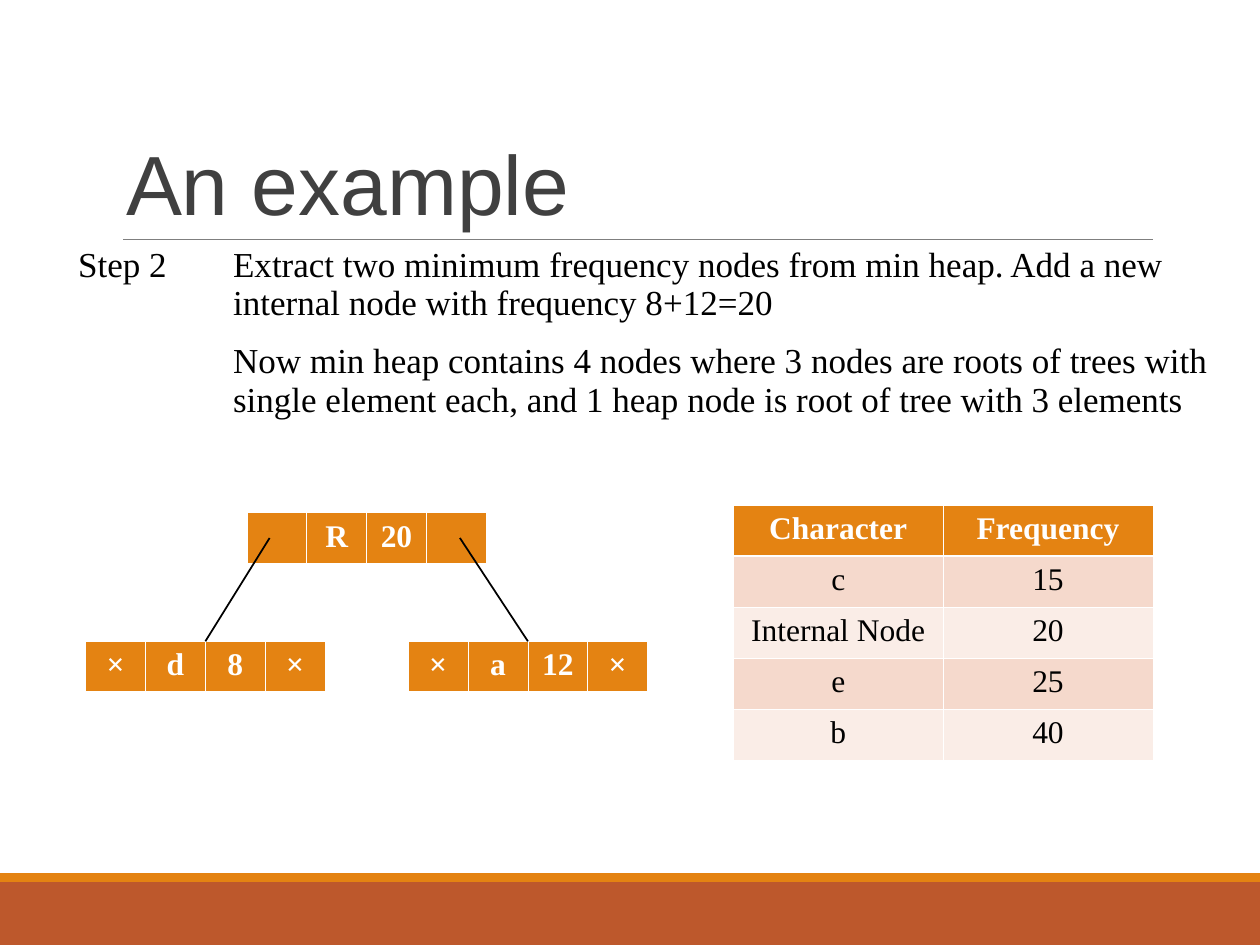
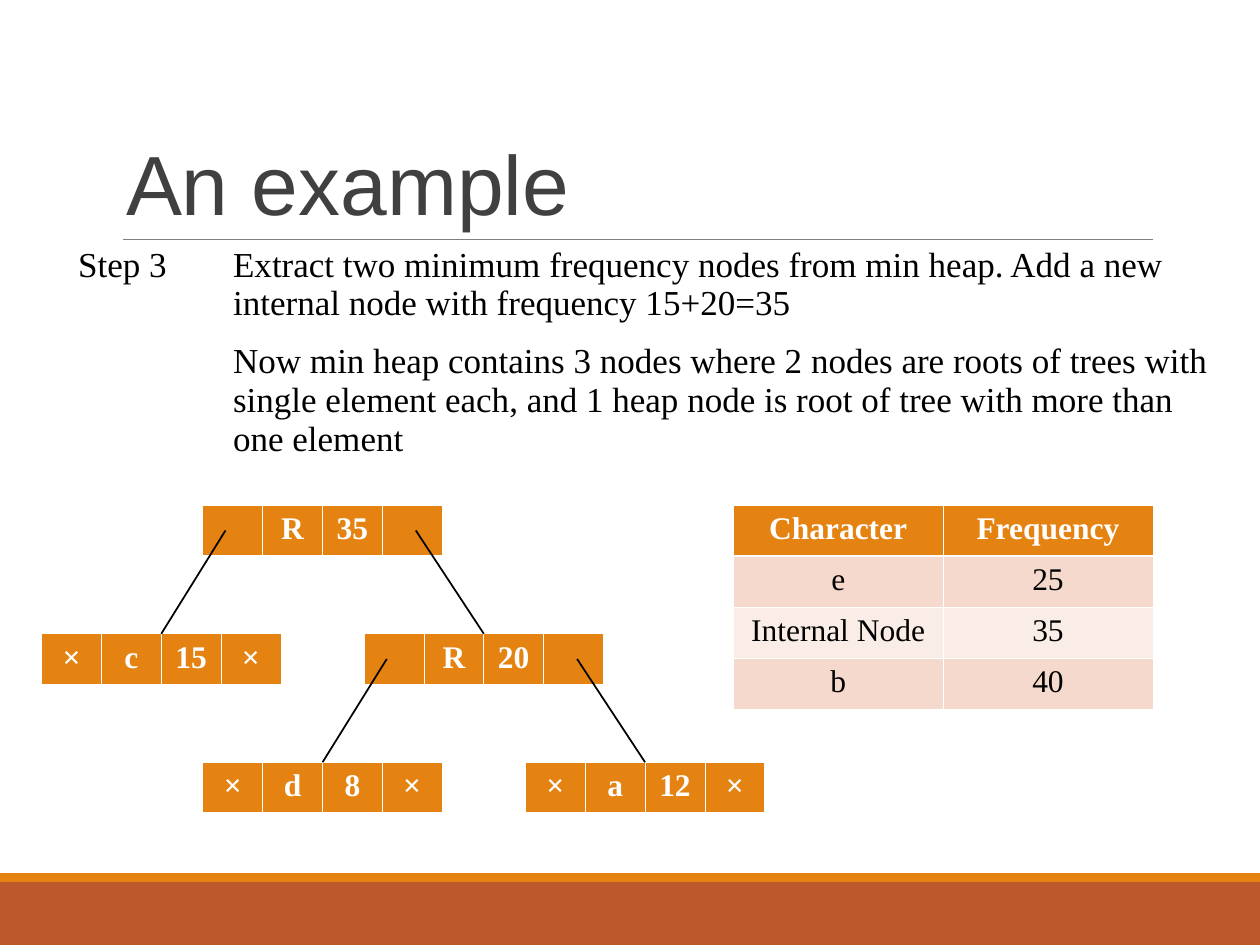
from lxml import etree
from pptx import Presentation
from pptx.dml.color import RGBColor
from pptx.enum.shapes import MSO_CONNECTOR, MSO_SHAPE
from pptx.enum.text import MSO_ANCHOR, MSO_AUTO_SIZE, PP_ALIGN
from pptx.oxml.ns import qn
from pptx.util import Inches, Pt

STRAIGHT = MSO_CONNECTOR.STRAIGHT
RECTANGLE = MSO_SHAPE.RECTANGLE
BOTTOM = MSO_ANCHOR.BOTTOM
NO_AUTOFIT = MSO_AUTO_SIZE.NONE
LEFT, CENTER = PP_ALIGN.LEFT, PP_ALIGN.CENTER

ORANGE = RGBColor(0xE4, 0x83, 0x12)
RUST = RGBColor(0xBD, 0x58, 0x2C)
DARK_ROW = RGBColor(0xF5, 0xD9, 0xCC)
LIGHT_ROW = RGBColor(0xFA, 0xED, 0xE7)
GRAY = RGBColor(0x7F, 0x7F, 0x7F)
TITLE_GRAY = RGBColor(0x40, 0x40, 0x40)
WHITE = RGBColor(0xFF, 0xFF, 0xFF)
BLACK = RGBColor(0, 0, 0)

TITLE_FONT, BODY_FONT = "Arial", "Times New Roman"
PLAIN_TABLE_STYLE = "{2D5ABB26-0587-4C30-8999-92F81FD0307C}"
THIN, THICK = Pt(0.45), Pt(1.47)

TITLE = "An example"
TABLE_HEADER = ("Character", "Frequency")

# A tree node is (character, frequency, children).
LEAF_A, LEAF_C, LEAF_D = ("a", 12, ()), ("c", 15, ()), ("d", 8, ())
TREE_20 = ("R", 20, (LEAF_D, LEAF_A))
TREE_35 = ("R", 35, (LEAF_C, TREE_20))

STEPS = [
    {
        "step": "Step 2",
        "texts": (
            "Extract two minimum frequency nodes from min heap. Add a new "
            "internal node with frequency 8+12=20",
            "Now min heap contains 4 nodes where 3 nodes are roots of trees with "
            "single element each, and 1 heap node is root of tree with 3 elements",
        ),
        "text_heights": (0.77, 0.77),
        "tree": TREE_20,
        "root": (1.96, 4.07),
        "heap": [("c", 15), ("Internal Node", 20), ("e", 25), ("b", 40)],
    },
    {
        "step": "Step 3",
        "texts": (
            "Extract two minimum frequency nodes from min heap. Add a new "
            "internal node with frequency 15+20=35",
            "Now min heap contains 3 nodes where 2 nodes are roots of trees with "
            "single element each, and 1 heap node is root of tree with more than "
            "one element",
        ),
        "text_heights": (0.77, 1.1),
        "tree": TREE_35,
        "root": (1.61, 4.01),
        "heap": [("e", 25), ("Internal Node", 35), ("b", 40)],
    },
]

NODE_WIDTH, ROW_HEIGHT = 1.9, 0.405
CHILD_SHIFT, LEVEL_HEIGHT = 1.28, 1.02
LINK_STARTS = (0.18, 1.69)  # within the parent's first and last cells
LINK_DROP = 0.2


def add_line(slide, start, end, color, width):
    line = slide.shapes.add_connector(
        STRAIGHT, *(Inches(value) for value in (*start, *end)))
    line.line.color.rgb = color
    line.line.width = Pt(width)
    etree.SubElement(line._element.spPr, qn("a:effectLst"))


def add_band(slide, top, height, color):
    band = slide.shapes.add_shape(
        RECTANGLE, 0, Inches(top), Inches(10), Inches(height))
    band.shadow.inherit = False
    band.fill.solid()
    band.fill.fore_color.rgb = color
    band.line.fill.background()


def add_frame(slide):
    """Add the parts every slide shares: bands, rule and title."""
    add_band(slide, 7, 0.5, RUST)
    add_band(slide, 6.93, 0.07, ORANGE)
    add_line(slide, (0.98, 1.9), (9.15, 1.9), GRAY, 0.5)
    title = slide.shapes.title
    title.left, title.top = Inches(0.9), Inches(0.31)
    title.width, title.height = Inches(8.25), Inches(1.59)
    frame = title.text_frame
    frame.text = TITLE
    frame.auto_size = NO_AUTOFIT
    frame.vertical_anchor = BOTTOM
    paragraph = frame.paragraphs[0]
    paragraph.alignment = LEFT
    paragraph.line_spacing = 0.85
    style_font(paragraph.font, TITLE_FONT, 48, TITLE_GRAY)


def style_font(font, name, size, color, bold=False):
    font.name, font.size, font.bold = name, Pt(size), bold
    font.color.rgb = color


def set_cell_text(cell, text, size, color, bold, alignment):
    cell.text = str(text)
    paragraph = cell.text_frame.paragraphs[0]
    paragraph.alignment = alignment
    style_font(paragraph.font, BODY_FONT, size, color, bold)


def add_plain_table(slide, position, column_widths, row_heights):
    left, top = position
    graphic_frame = slide.shapes.add_table(
        len(row_heights), len(column_widths), Inches(left), Inches(top),
        Inches(sum(column_widths)), Inches(sum(row_heights)))
    table = graphic_frame.table
    table.first_row = table.horz_banding = False
    table._tbl.tblPr.find(qn("a:tableStyleId")).text = PLAIN_TABLE_STYLE
    for column, width in zip(table.columns, column_widths):
        column.width = Inches(width)
    for row, height in zip(table.rows, row_heights):
        row.height = Inches(height)
    return table


def set_borders(cell, top, bottom):
    properties = cell._tc.get_or_add_tcPr()
    for side, width in (("L", THIN), ("R", THIN), ("T", top), ("B", bottom)):
        border = etree.SubElement(properties, qn(f"a:ln{side}"), w=str(int(width)))
        fill = etree.SubElement(border, qn("a:solidFill"))
        etree.SubElement(fill, qn("a:srgbClr"), val=str(WHITE))


def add_filled_table(slide, position, width, rows):
    """Add a table with an orange first row and banded rows below it."""
    columns = len(rows[0])
    table = add_plain_table(
        slide, position, [width / columns] * columns, [ROW_HEIGHT] * len(rows))
    for row_index, row in enumerate(rows):
        is_header = row_index == 0
        band = DARK_ROW if row_index % 2 else LIGHT_ROW
        for column_index, text in enumerate(row):
            cell = table.cell(row_index, column_index)
            set_borders(cell, top=THICK if row_index == 1 else THIN,
                        bottom=THICK if is_header else THIN)
            cell.fill.solid()
            cell.fill.fore_color.rgb = ORANGE if is_header else band
            set_cell_text(cell, text, 18, WHITE if is_header else BLACK,
                          is_header, CENTER)


def add_tree(slide, node, left, top):
    character, frequency, children = node
    pointer = "" if children else "×"
    add_filled_table(slide, (left, top), NODE_WIDTH,
                     [(pointer, character, frequency, pointer)])
    child_top = top + LEVEL_HEIGHT
    for child, direction, link_start in zip(children, (-1, 1), LINK_STARTS):
        child_left = left + direction * CHILD_SHIFT
        add_tree(slide, child, child_left, child_top)
        add_line(slide, (left + link_start, top + LINK_DROP),
                 (child_left + NODE_WIDTH / 2, child_top), BLACK, 1)


def add_step_text(slide, step, texts, heights):
    table = add_plain_table(slide, (0.52, 1.9), (1.23, 7.99), heights)
    set_cell_text(table.cell(0, 0), step, 20, BLACK, False, LEFT)
    for row_index, text in enumerate(texts):
        set_cell_text(table.cell(row_index, 1), text, 20, BLACK, False, LEFT)


def main():
    presentation = Presentation()
    presentation.slide_width, presentation.slide_height = Inches(10), Inches(7.5)
    title_only = presentation.slide_layouts.get_by_name("Title Only")
    for step in STEPS:
        slide = presentation.slides.add_slide(title_only)
        add_frame(slide)
        add_step_text(slide, step["step"], step["texts"], step["text_heights"])
        add_tree(slide, step["tree"], *step["root"])
        add_filled_table(slide, (5.82, 4.01), 3.33, [TABLE_HEADER, *step["heap"]])
    presentation.save("out.pptx")


if __name__ == "__main__":
    main()
